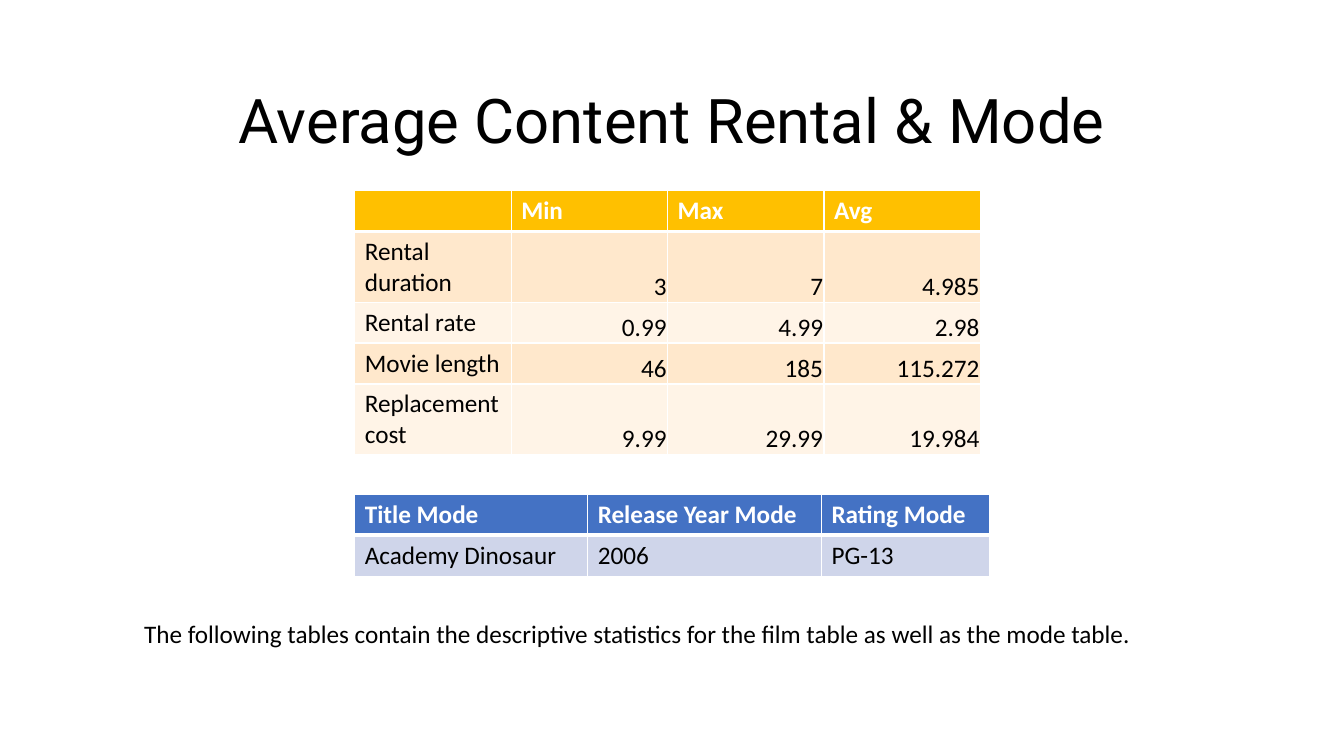
from lxml.etree import SubElement
from pptx import Presentation
from pptx.dml.color import RGBColor
from pptx.enum.text import MSO_ANCHOR, PP_ALIGN
from pptx.oxml.ns import qn
from pptx.util import Pt


def color(value):
    return RGBColor.from_string(value)


def write(frame, text, size=18, font="Calibri", ink="000000", bold=False, align=PP_ALIGN.LEFT, spacing=None):
    para = frame.paragraphs[0]
    para.alignment = align
    para.line_spacing = spacing
    span = para.add_run()
    span.text = text
    span.font.size = Pt(size)
    span.font.name = font
    span.font.bold = bold
    span.font.color.rgb = color(ink)


deck = Presentation()
deck.slide_width, deck.slide_height = Pt(960), Pt(540)
page = deck.slides.add_slide(deck.slide_layouts[6])

title = page.shapes.add_textbox(Pt(66), Pt(36), Pt(828), Pt(104.4))
title.text_frame.word_wrap = True
title.text_frame.vertical_anchor = MSO_ANCHOR.MIDDLE
write(title.text_frame, "Average Content Rental & Mode", size=44, font="Roboto",
      align=PP_ALIGN.CENTER, spacing=0.9)

rentals = [
    ["", "Min", "Max", "Avg"],
    ["Rental duration", "3", "7", "4.985"],
    ["Rental rate", "0.99", "4.99", "2.98"],
    ["Movie length", "46", "185", "115.272"],
    ["Replacement cost", "9.99", "29.99", "19.984"],
]
modes = [
    ["Title Mode", "Release Year Mode", "Rating Mode"],
    ["Academy Dinosaur", "2006", "PG-13"],
]
tables = [
    (rentals, 136.2, 188.6, [111.75] * 4, "FFC000", ["FFE8CC", "FFF4E7"], True),
    (modes, 353.2, 58.4, [166.4, 167, 120.2], "4472C4", ["CFD5EA"], False),
]
row_height = 29.2

for rows, top, height, widths, head_fill, bands, numeric in tables:
    holder = page.shapes.add_table(len(rows), len(widths), Pt(253.4), Pt(top),
                                   Pt(sum(widths)), Pt(height))
    table = holder.table
    for column, width in zip(table.columns, widths):
        column.width = Pt(width)
    for row_index, values in enumerate(rows):
        table.rows[row_index].height = Pt(row_height)
        is_head = row_index == 0
        fill = head_fill if is_head else bands[(row_index - 1) % len(bands)]
        for column_index, value in enumerate(values):
            cell = table.cell(row_index, column_index)
            is_number = numeric and not is_head and column_index > 0
            if is_number:
                cell.vertical_anchor = MSO_ANCHOR.BOTTOM
                cell.margin_left = cell.margin_right = cell.margin_top = Pt(0.75)
                cell.margin_bottom = Pt(0)
            properties = cell._tc.get_or_add_tcPr()
            for side in ("L", "R", "T", "B"):
                heavy = (is_head and side == "B") or (row_index == 1 and side == "T")
                border = SubElement(properties, qn(f"a:ln{side}"), w=str(Pt(3 if heavy else 1)))
                paint = SubElement(border, qn("a:solidFill"))
                SubElement(paint, qn("a:srgbClr"), val="FFFFFF")
            cell.fill.solid()
            cell.fill.fore_color.rgb = color(fill)
            if value:
                write(cell.text_frame, value, bold=is_head,
                      ink="FFFFFF" if is_head else "000000",
                      align=PP_ALIGN.RIGHT if is_number else PP_ALIGN.LEFT)
    holder.height = Pt(height)

caption = page.shapes.add_textbox(Pt(95.8), Pt(437.8), Pt(769), Pt(29))
caption.text_frame.word_wrap = True
write(caption.text_frame, "The following tables contain the descriptive statistics "
      "for the film table as well as the mode table.")

deck.save("out.pptx")
